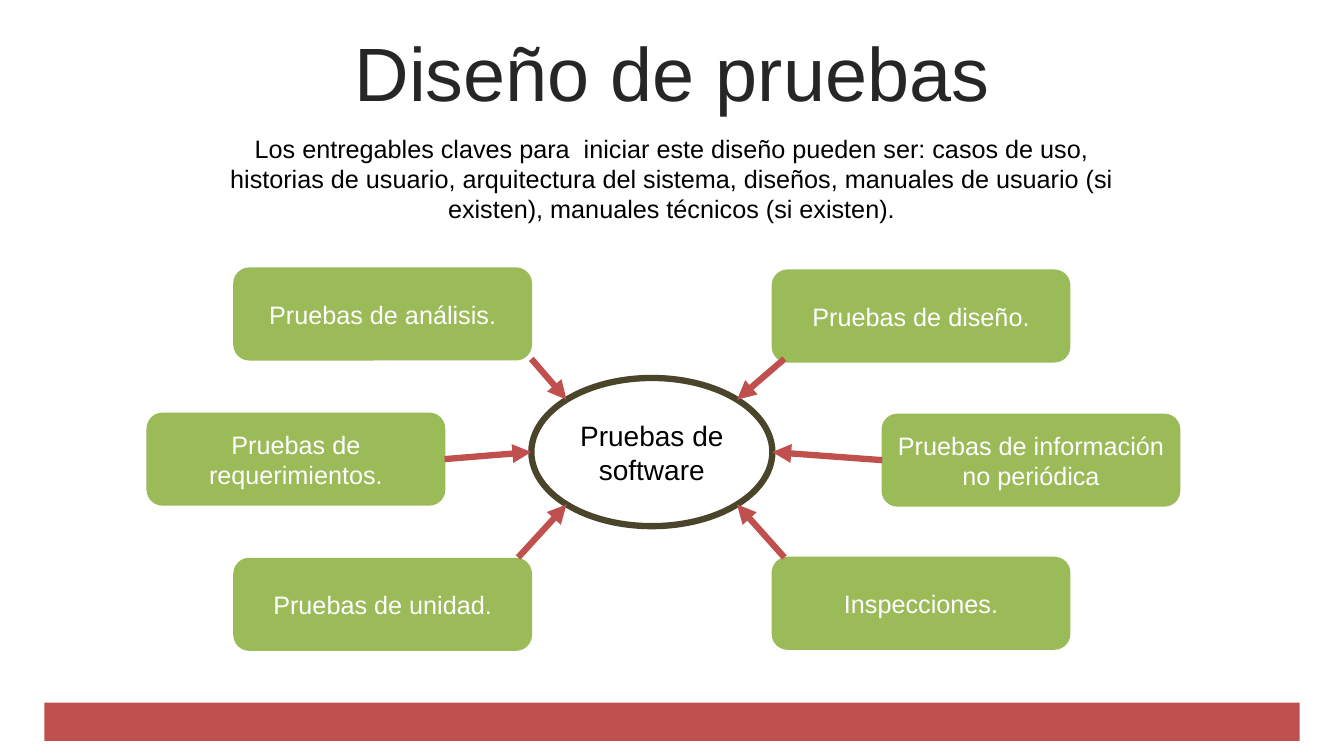
import math

import pptx
import pptx.dml.color
import pptx.enum.shapes
import pptx.enum.text
import pptx.oxml
import pptx.util

Inches = pptx.util.Inches
Pt = pptx.util.Pt
SHAPES = pptx.enum.shapes.MSO_SHAPE
ANCHOR = pptx.enum.text.MSO_ANCHOR

TITLE = "Diseño de pruebas"
INTRO = (
    "Los entregables claves para  iniciar este diseño pueden ser: casos de uso, "
    "historias de usuario, arquitectura del sistema, diseños, manuales de usuario "
    "(si existen), manuales técnicos (si existen)."
)
CENTER_TEXT = "Pruebas de software"

# Text, left, top, side of the ellipse (x, y), arrow start (None: middle of side)
TESTS = [
    ("Pruebas de análisis.", 2.32, 2.66, (-1, -1), (5.27, 3.56)),
    ("Pruebas de requerimientos.", 1.46, 4.10, (-1, 0), None),
    ("Pruebas de unidad.", 2.32, 5.54, (-1, 1), (5.14, 5.53)),
    ("Inspecciones.", 7.66, 5.53, (1, 1), (7.78, 5.53)),
    ("Pruebas de información no periódica", 8.75, 4.11, (1, 0), None),
    ("Pruebas de diseño.", 7.66, 2.68, (1, -1), (7.78, 3.56)),
]

SLIDE_SIZE = (13.33, 7.5)
TEST_SIZE = (2.95, 0.91)
ELLIPSE = (5.27, 3.75, 2.39, 1.47)
BAND = (0.44, 6.97, 12.45, 0.38)
TITLE_AREA = (0.16, 0.37, 13.01, 0.79)
INTRO_AREA = (2.14, 1.27, 9.04, 1.01)

COLORS = {
    "red": "C0504D",
    "green": "9BBB59",
    "brown": "4A452A",
    "white": "FFFFFF",
    "black": "000000",
    "title": "262626",
}


def color(name):
    return pptx.dml.color.RGBColor.from_string(COLORS[name])


def write(shape, text, size=18, ink="black", anchor=ANCHOR.MIDDLE, spacing=None):
    frame = shape.text_frame
    frame.word_wrap = True
    frame.vertical_anchor = anchor
    paragraph = frame.paragraphs[0]
    paragraph.alignment = pptx.enum.text.PP_ALIGN.CENTER
    paragraph.line_spacing = spacing
    run = paragraph.add_run()
    run.text = text
    run.font.name = "Arial"
    run.font.size = Pt(size)
    run.font.color.rgb = color(ink)


def add_block(slide, kind, area, fill, line=None, width=1):
    shape = slide.shapes.add_shape(kind, *map(Inches, area))
    shape.shadow.inherit = False
    shape.fill.solid()
    shape.fill.fore_color.rgb = color(fill)
    if line:
        shape.line.color.rgb = color(line)
        shape.line.width = Pt(width)
    else:
        shape.line.fill.background()
    return shape


def add_arrow(slide, start, end):
    arrow = slide.shapes.add_connector(
        pptx.enum.shapes.MSO_CONNECTOR.STRAIGHT, *map(Inches, start + end)
    )
    arrow.line.color.rgb = color("red")
    arrow.line.width = Pt(4.5)
    namespace = pptx.oxml.ns.nsdecls("a")
    arrow.line._get_or_add_ln().append(
        pptx.oxml.parse_xml(f'<a:tailEnd {namespace} type="triangle"/>')
    )
    arrow._element.spPr.append(pptx.oxml.parse_xml(f"<a:effectLst {namespace}/>"))
    return arrow


def ellipse_point(side):
    """Point of the ellipse's outline in the direction given by the side."""
    left, top, width, height = ELLIPSE
    length = math.hypot(*side)
    return (
        left + width / 2 * (1 + side[0] / length),
        top + height / 2 * (1 + side[1] / length),
    )


def main():
    presentation = pptx.Presentation()
    presentation.slide_width, presentation.slide_height = map(Inches, SLIDE_SIZE)
    slide = presentation.slides.add_slide(presentation.slide_layouts[6])

    add_block(slide, SHAPES.RECTANGLE, BAND, "red")
    title = slide.shapes.add_textbox(*map(Inches, TITLE_AREA))
    write(title, TITLE, size=54, ink="title", spacing=0.9)
    intro = slide.shapes.add_textbox(*map(Inches, INTRO_AREA))
    write(intro, INTRO, anchor=ANCHOR.TOP)
    center = add_block(slide, SHAPES.OVAL, ELLIPSE, "white", "brown", 4.5)
    write(center, CENTER_TEXT, size=20)

    boxes = []
    for text, left, top, _, _ in TESTS:
        area = (left, top, *TEST_SIZE)
        box = add_block(slide, SHAPES.ROUNDED_RECTANGLE, area, "green", "green")
        write(box, text, ink="white")
        boxes.append(box)

    for box, (_, left, top, side, start) in zip(boxes, TESTS):
        end = ellipse_point(side)
        arrow = add_arrow(slide, start or (left, top), end)
        if start is None:
            arrow.begin_connect(box, 3 if side[0] < 0 else 1)

    presentation.save("out.pptx")


if __name__ == "__main__":
    main()
